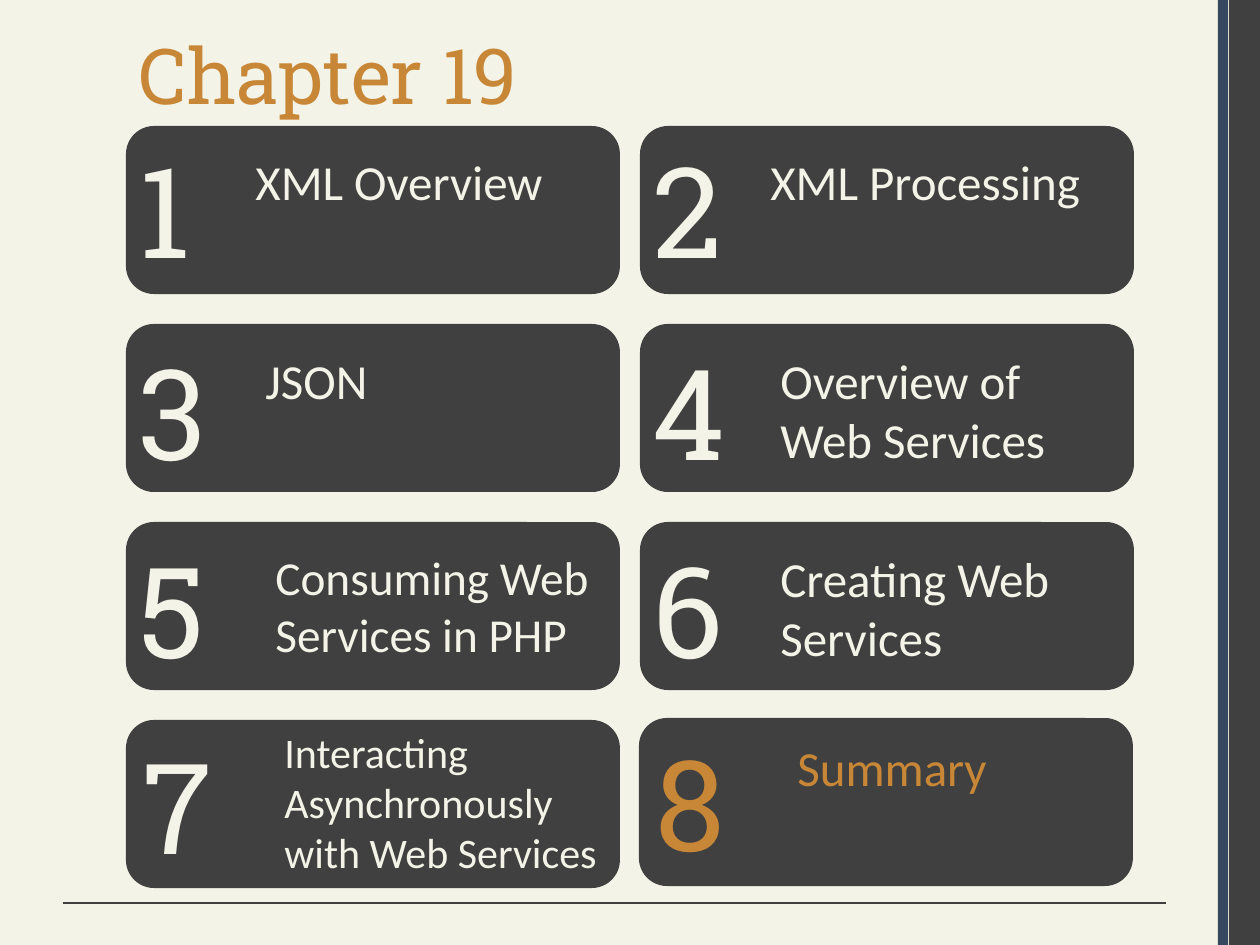
from dataclasses import dataclass

from lxml import etree
from pptx import Presentation
from pptx.dml.color import RGBColor
from pptx.enum.shapes import MSO_CONNECTOR, MSO_SHAPE
from pptx.enum.text import MSO_ANCHOR, MSO_AUTO_SIZE, PP_ALIGN
from pptx.oxml.ns import qn
from pptx.slide import Slide
from pptx.util import Pt

RECTANGLE = MSO_SHAPE.RECTANGLE
ROUNDED = MSO_SHAPE.ROUNDED_RECTANGLE
STRAIGHT = MSO_CONNECTOR.STRAIGHT
TOP = MSO_ANCHOR.TOP
LEFT = PP_ALIGN.LEFT
FIT_SHAPE = MSO_AUTO_SIZE.SHAPE_TO_FIT_TEXT
NO_FIT = MSO_AUTO_SIZE.NONE

PX_PER_INCH = 126
EMU_PER_INCH = 914400
COLORS = {
    "paper": "F3F3E7",
    "charcoal": "404040",
    "navy": "37475F",
    "amber": "C88736",
}
HEADING_FONT = "Roboto Slab"
BODY_FONT = "Calibri"

GRID_LEFT, GRID_TOP = 126, 126
COLUMN_PITCH, ROW_PITCH = 514, 198
CARD_WIDTH, CARD_HEIGHT = 494, 168
NUMBER_WIDTH, NUMBER_HEIGHT = 95, 165
TOPIC_WIDTH = 348


@dataclass(frozen=True)
class Section:
    """Offsets of number and topic are from the card's corner, in px."""
    topic: str
    number_dx: int
    number_dy: int
    topic_dx: int
    topic_dy: int
    topic_height: int
    topic_size: int = 28
    color: str = "paper"
    card_dx: int = 0
    card_dy: int = 0


SECTIONS = [
    Section("XML Overview", 0, 0, 117, 19, 72),
    Section("XML Processing", 0, 0, 118, 19, 72),
    Section("JSON", 0, 4, 127, 20, 72),
    Section("Overview of Web Services", 0, 4, 128, 20, 131),
    Section("Consuming Web Services in PHP", 0, 4, 137, 20, 127, 27),
    Section("Creating Web Services", 0, 4, 128, 20, 131),
    Section("Interacting Asynchronously with Web Services",
            4, 2, 146, 0, 165, 24),
    Section("Summary", 4, 1, 146, 13, 72, color="amber",
            card_dx=-1, card_dy=-2),
]


def px(length: int) -> int:
    return round(length * EMU_PER_INCH / PX_PER_INCH)


def color(name: str) -> RGBColor:
    return RGBColor.from_string(COLORS[name])


def add_block(slide: Slide, preset: MSO_SHAPE, left: int, top: int,
              width: int, height: int, fill: str) -> None:
    block = slide.shapes.add_shape(
        preset, px(left), px(top), px(width), px(height))
    block.shadow.inherit = False
    block.fill.solid()
    block.fill.fore_color.rgb = color(fill)
    block.line.fill.background()


def add_label(slide: Slide, text: str, left: int, top: int, width: int,
              height: int, font: str, size: int, ink: str) -> None:
    frame = slide.shapes.add_textbox(
        px(left), px(top), px(width), px(height)).text_frame
    frame.word_wrap = True
    frame.auto_size = FIT_SHAPE
    write(frame.paragraphs[0], text, font, size, ink)


def write(paragraph, text: str, font: str, size: int, ink: str) -> None:
    paragraph.text = text
    paragraph.font.name = font
    paragraph.font.size = Pt(size)
    paragraph.font.color.rgb = color(ink)


def add_footer_rule(slide: Slide) -> None:
    rule = slide.shapes.add_connector(
        STRAIGHT, px(1166), px(903), px(63), px(903))
    rule.line.color.rgb = color("charcoal")
    rule.line.width = Pt(0.75)
    etree.SubElement(rule._element.spPr, qn("a:effectLst"))


def set_title(slide: Slide, text: str) -> None:
    title = slide.shapes.title
    title.left, title.top = px(126), px(21)
    title.width, title.height = px(1092), px(147)
    frame = title.text_frame
    frame.vertical_anchor = TOP
    frame.auto_size = NO_FIT
    write(frame.paragraphs[0], text, HEADING_FONT, 44, "amber")
    frame.paragraphs[0].alignment = LEFT


def add_section(slide: Slide, index: int, section: Section) -> None:
    row, column = divmod(index, 2)
    left = GRID_LEFT + column * COLUMN_PITCH + section.card_dx
    top = GRID_TOP + row * ROW_PITCH + section.card_dy
    add_block(slide, ROUNDED, left, top, CARD_WIDTH, CARD_HEIGHT, "charcoal")
    add_label(slide, str(index + 1),
              left + section.number_dx, top + section.number_dy,
              NUMBER_WIDTH, NUMBER_HEIGHT, HEADING_FONT, 72, section.color)
    add_label(slide, section.topic,
              left + section.topic_dx, top + section.topic_dy,
              TOPIC_WIDTH, section.topic_height,
              BODY_FONT, section.topic_size, section.color)


def main() -> None:
    deck = Presentation()
    deck.slide_width, deck.slide_height = px(1260), px(945)
    slide = deck.slides.add_slide(deck.slide_layouts.get_by_name("Title Only"))
    slide.background.fill.solid()
    slide.background.fill.fore_color.rgb = color("paper")

    add_block(slide, RECTANGLE, 1229, 0, 31, 945, "charcoal")
    add_block(slide, RECTANGLE, 1218, 0, 10, 945, "navy")
    add_footer_rule(slide)
    set_title(slide, "Chapter 19")
    for index, section in enumerate(SECTIONS):
        add_section(slide, index, section)

    deck.save("out.pptx")


if __name__ == "__main__":
    main()
